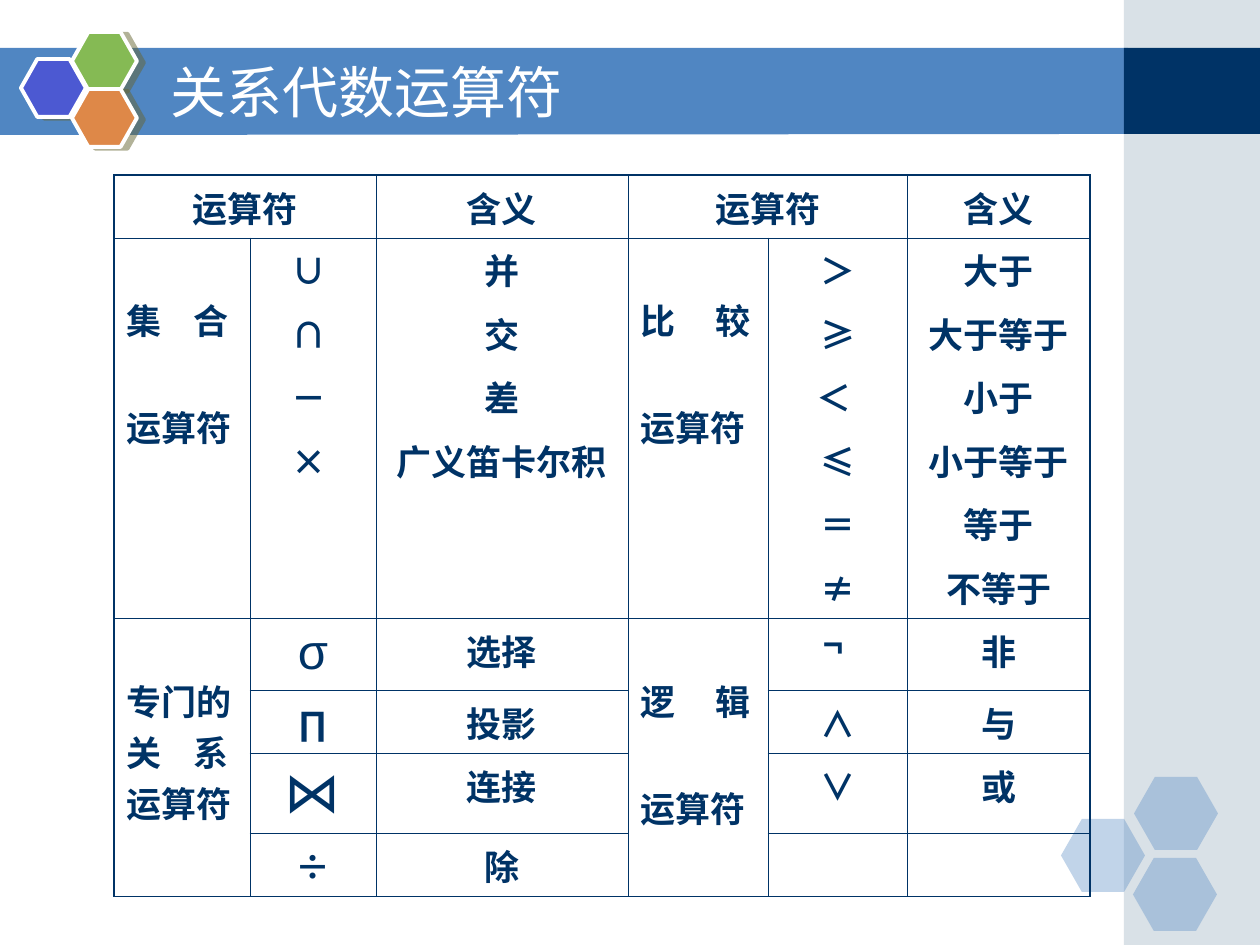
from lxml import etree
from pptx import Presentation
from pptx.dml.color import RGBColor
from pptx.enum.shapes import MSO_SHAPE
from pptx.enum.text import MSO_ANCHOR, PP_ALIGN
from pptx.oxml.ns import qn
from pptx.util import Emu, Pt

PX = 914400 // 126
RECTANGLE, HEXAGON = MSO_SHAPE.RECTANGLE, MSO_SHAPE.HEXAGON
CENTER, LEFT, MIDDLE = PP_ALIGN.CENTER, PP_ALIGN.LEFT, MSO_ANCHOR.MIDDLE

NAVY = RGBColor(0x00, 0x33, 0x66)
BLUE = RGBColor(0x50, 0x86, 0xC2)
GREY = RGBColor(0xA0, 0xB5, 0xC4)
INDIGO = RGBColor(0x4C, 0x59, 0xD2)
GREEN = RGBColor(0x85, 0xBA, 0x54)
ORANGE = RGBColor(0xDE, 0x88, 0x48)
OLIVE = RGBColor(0x66, 0x66, 0x33)
WHITE = RGBColor(0xFF, 0xFF, 0xFF)

SERIF, SANS, CJK, MATH = "Times New Roman", "Arial", "Noto Sans CJK SC", "DejaVu Sans"
NO_STYLE = "{2D5ABB26-0587-4C30-8999-92F81FD0307C}"
THIN, THICK = Pt(0.45), Pt(1.08)

# Table content
HEADER = {0: "运算符", 2: "含义", 3: "运算符", 5: "含义"}
LEFT_ROWS = [("∪ ", "并"), ("∩ ", "交"), ("－ ", "差"), ("× ", "广义笛卡尔积"), ("", ""), ("", ""),
             ("σ", "选择"), ("∏", "投影"), ("⋈", "连接"), ("÷", "除")]
RIGHT_ROWS = [("＞", "大于"), ("≥", "大于等于"), ("＜ ", "小于"), ("≤", "小于等于"), ("＝", "等于"),
              ("≠", "不等于"), ("¬ ", "非"), ("∧", "与"), ("∨", "或"), ("", "")]
# row, column, lines, tab stop in px, gap between lines in px
GROUPS = [(1, 0, ["集\t合", "运算符"], 67, 56), (1, 3, ["比\t较", "运算符"], 75, 56),
          (7, 0, ["专门的", "关\t系", "运算符"], 67, 0), (7, 3, ["逻\t辑", "运算符"], 75, 56)]
# symbols that differ from the usual font, size and weight
SPECIAL = {"σ": (SANS, 28, False), "⋈": (MATH, 32, False), "¬ ": (SANS, 20, True)}
COLUMNS = [136, 126, 252, 140, 140, 182]
ROWS = [63] + [64, 63] * 3 + [72, 63, 80, 63]
GROUP_HEIGHTS = {1: 6, 7: 4}


def add_element(parent, tag, **attributes):
    return etree.SubElement(parent, qn(tag), {k: str(v) for k, v in attributes.items()})


def add_color(parent, color, opacity=100):
    node = add_element(parent, "a:srgbClr", val=color)
    if opacity < 100:
        add_element(node, "a:alpha", val=opacity * 1000)


class SlideBuilder:
    def __init__(self, slide):
        self.slide = slide
        self.color = NAVY
        self.size = 20

    def paint(self, shape, color, opacity=100):
        shape.shadow.inherit = False
        shape.fill.solid()
        shape.fill.fore_color.rgb = color
        shape.line.fill.background()
        if opacity < 100:
            node = shape.fill._xPr.find(".//" + qn("a:srgbClr"))
            add_element(node, "a:alpha", val=opacity * 1000)

    def shape(self, kind, left, top, width, height, color, opacity=100):
        shape = self.slide.shapes.add_shape(kind, *(Emu(n * PX) for n in (left, top, width, height)))
        self.paint(shape, color, opacity)
        return shape

    def outline(self, points, color):
        builder = self.slide.shapes.build_freeform(*points[0], scale=PX)
        builder.add_line_segments(points[1:], close=True)
        self.paint(builder.convert_to_shape(), color)

    def pale_hexagon(self, left, top):
        self.shape(HEXAGON, left, top, 84, 73, BLUE, 35).adjustments[0] = 0.286

    def badge_hexagon(self, left, top, color):
        hexagon = self.shape(HEXAGON, left, top, 65, 58, color)
        hexagon.adjustments[0] = 0.283
        hexagon.line.color.rgb = WHITE
        hexagon.line.width = Pt(2.25)
        effects = hexagon._element.spPr.find(qn("a:effectLst"))
        shadow = add_element(effects, "a:outerShdw", blurRad=0, dist=Pt(4.1), dir=14 * 60000,
                             algn="ctr", rotWithShape=0)
        add_color(shadow, OLIVE, 50)

    def format_run(self, para, font, size, color, bold):
        span = para.runs[0]
        span.font.name, span.font.size, span.font.bold = font, Pt(size), bold
        span.font.color.rgb = color
        add_element(span._r.get_or_add_rPr(), "a:ea", typeface=MATH if "⋈" in span.text else CJK)

    def title(self, text, left, top, width, height):
        box = self.slide.shapes.add_textbox(*(Emu(n * PX) for n in (left, top, width, height)))
        frame = box.text_frame
        frame.word_wrap = True
        frame.vertical_anchor = MIDDLE
        frame.text = text
        self.format_run(frame.paragraphs[0], MATH, 32, WHITE, False)

    def table(self, left, top, columns, rows):
        frame = self.slide.shapes.add_table(len(rows), len(columns), Emu(left * PX), Emu(top * PX),
                                            Emu(sum(columns) * PX), Emu(sum(rows) * PX))
        table = frame.table
        table.first_row = table.horz_banding = False
        table._tbl.tblPr[0].text = NO_STYLE
        for column, width in zip(table.columns, columns):
            column.width = Emu(width * PX)
        for row, height in zip(table.rows, rows):
            row.height = Emu(height * PX)
        return table

    def entry(self, cell, text, font):
        if not text:
            return
        font, size, bold = SPECIAL.get(text, (font, self.size, True))
        cell.text = text
        para = cell.text_frame.paragraphs[0]
        para.alignment = CENTER
        self.format_run(para, font, size, self.color, bold)

    def group_label(self, cell, lines, stop, gap):
        cell.margin_top = Emu(56 * PX)
        cell.text = "\n".join(lines)
        for number, para in enumerate(cell.text_frame.paragraphs):
            para.alignment = LEFT
            if number:
                para.space_before = Emu(gap * PX)
            if "\t" in para.text:
                tabs = add_element(para._p.get_or_add_pPr(), "a:tabLst")
                add_element(tabs, "a:tab", pos=stop * PX, algn="l")
            self.format_run(para, SERIF, self.size, self.color, True)

    def borders(self, table, row, column):
        cell = table.cell(row, column)
        right, bottom = column + cell.span_width, row + cell.span_height
        last_column, last_row = len(table.columns), len(table.rows)
        upright = {0, 2, 3, 5, 6} if row == 0 else set(range(7))
        level = {0, 1, 7, 11} if column in (0, 3) else {0, 1, 7, 8, 9, 10, 11}
        properties = cell._tc.get_or_add_tcPr()
        for tag, edge, shown, end in (("a:lnL", column, upright, last_column),
                                      ("a:lnR", right, upright, last_column),
                                      ("a:lnT", row, level, last_row),
                                      ("a:lnB", bottom, level, last_row)):
            line = add_element(properties, tag, w=THICK if edge in (0, end) else THIN)
            if edge in shown:
                add_color(add_element(line, "a:solidFill"), self.color)
            else:
                add_element(line, "a:noFill")
        cell.fill.background()


def main():
    deck = Presentation()
    deck.slide_width, deck.slide_height = Emu(1260 * PX), Emu(945 * PX)
    page = SlideBuilder(deck.slides.add_slide(deck.slide_layouts[6]))

    # Title band and side panel
    page.outline([(-1, 48), (1128, 48), (1128, 134), (-1, 135)], BLUE)
    page.shape(RECTANGLE, 1124, 0, 136, 945, GREY, 40)
    page.shape(RECTANGLE, 1124, 48, 136, 86, NAVY)

    # Hexagon ornaments
    for left, top in ((1061, 819), (1134, 777), (1133, 858)):
        page.pale_hexagon(left, top)
    for left, top, color in ((21, 59, INDIGO), (72, 32, GREEN), (72, 89, ORANGE)):
        page.badge_hexagon(left, top, color)

    page.title("关系代数运算符", 158, 52, 924, 78)

    # Operator table
    table = page.table(114, 175, COLUMNS, ROWS)
    for column in (0, 3):
        table.cell(0, column).merge(table.cell(0, column + 1))
        for row, height in GROUP_HEIGHTS.items():
            table.cell(row, column).merge(table.cell(row + height - 1, column))
    for column, text in HEADER.items():
        page.entry(table.cell(0, column), text, SERIF)
    for first, entries in ((1, LEFT_ROWS), (4, RIGHT_ROWS)):
        for row, (symbol, meaning) in enumerate(entries, 1):
            page.entry(table.cell(row, first), symbol, CJK)
            page.entry(table.cell(row, first + 1), meaning, SERIF)
    for row, column, lines, stop, gap in GROUPS:
        page.group_label(table.cell(row, column), lines, stop, gap)
    for row in range(len(ROWS)):
        for column in range(len(COLUMNS)):
            page.borders(table, row, column)

    deck.save("out.pptx")


if __name__ == "__main__":
    main()
